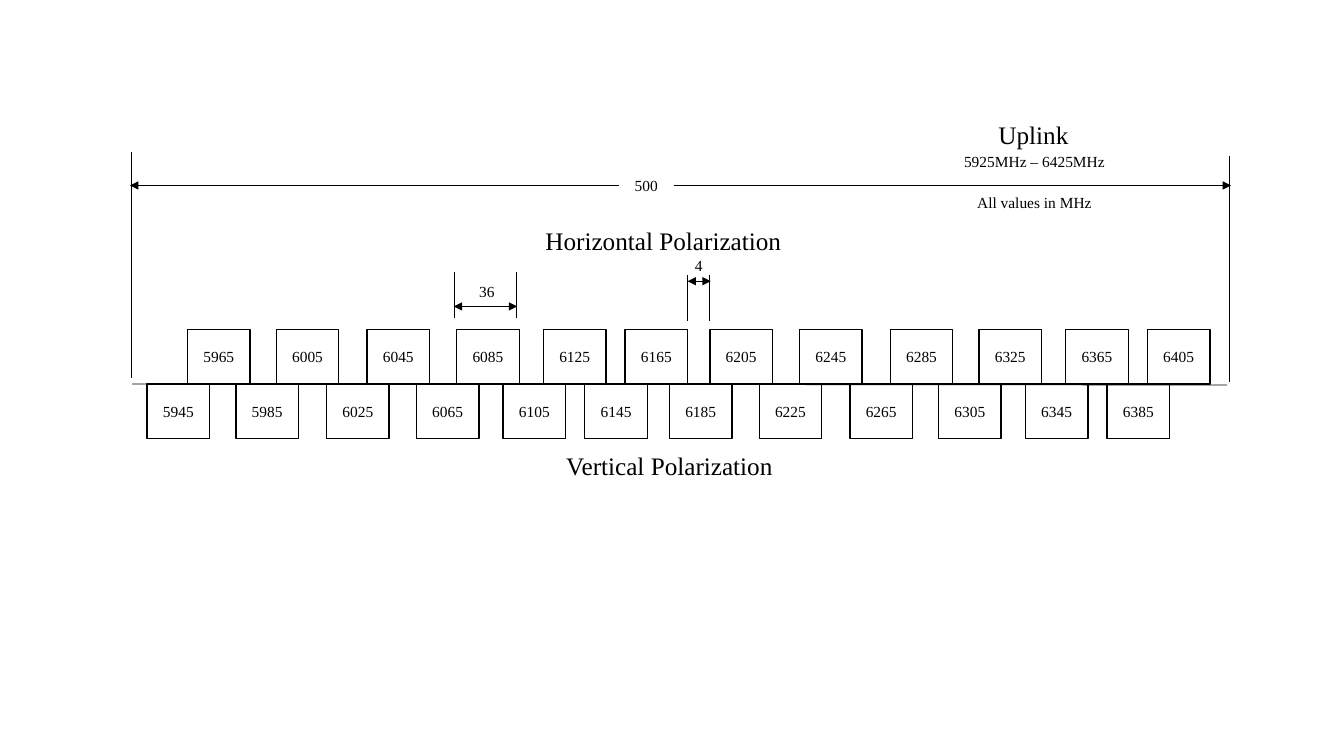
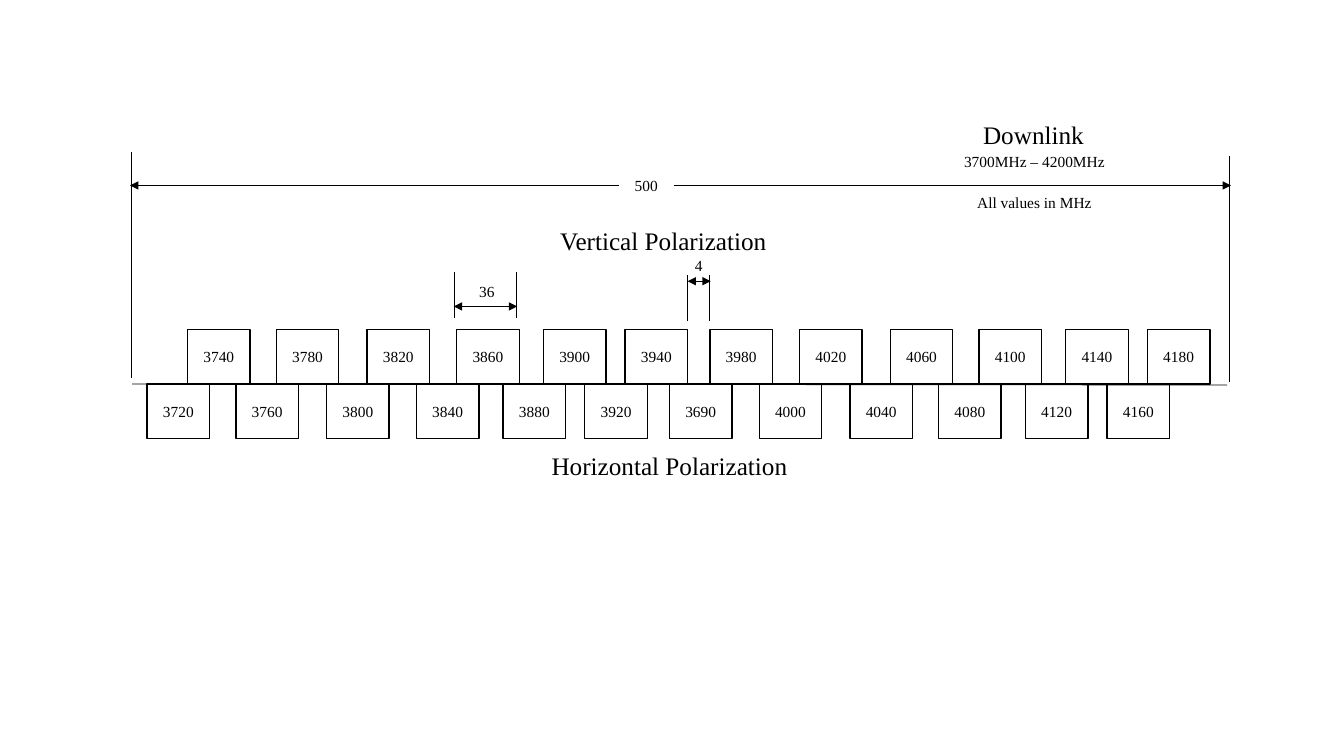
from lxml.etree import SubElement
from pptx import Presentation
from pptx.dml.color import RGBColor
from pptx.enum.shapes import MSO_CONNECTOR as CONNECTOR, MSO_SHAPE as SHAPE
from pptx.enum.text import MSO_ANCHOR as ANCHOR, MSO_AUTO_SIZE as AUTO_SIZE, PP_ALIGN as ALIGN
from pptx.oxml.ns import qn
from pptx.util import Pt

PX = 9144  # 100 px to the inch
COLORS = {"ink": "000000", "paper": "FFFFFF"}
INK = RGBColor.from_string(COLORS["ink"])
FONT = "Times New Roman"
SMALL, LARGE = 11, 18

BOX_WIDTH, BOX_HEIGHT = 62, 54
UPPER_TOP = 327
LOWER_TOP = UPPER_TOP + BOX_HEIGHT
UPPER_LEFTS = [186, 274, 364, 453, 539, 620, 704, 793, 883, 971, 1057, 1138]
LOWER_SHIFT = 40

BANDWIDTH, SPACING = 500, 40
BANDS = [
    {"title": "Uplink", "start": 5925, "relabelled": {},
     "upper": "Horizontal Polarization", "lower": "Vertical Polarization"},
    {"title": "Downlink", "start": 3700, "relabelled": {3960: 3690},
     "upper": "Vertical Polarization", "lower": "Horizontal Polarization"},
]

# x1, y1, x2, y2
PLAIN_LINES = [
    (130, 151, 130, 375), (1219, 155, 1219, 379),  # band edges
    (131, 381, 1217, 382),  # frequency axis
    (451, 270, 451, 315), (512, 270, 512, 315),  # channel width
    (682, 273, 682, 318), (704, 273, 704, 318),  # guard band
]
DOUBLE_ARROWS = [(450, 304, 513, 304), (682, 279, 705, 279)]


def write(shape, text, size, anchor=ANCHOR.TOP, auto_size=AUTO_SIZE.SHAPE_TO_FIT_TEXT):
    frame = shape.text_frame
    frame.text = text
    frame.word_wrap = True
    frame.auto_size = auto_size
    frame.vertical_anchor = anchor
    paragraph = frame.paragraphs[0]
    paragraph.alignment = ALIGN.CENTER
    font = paragraph.runs[0].font
    font.name, font.size = FONT, Pt(size)
    font.color.rgb = INK


def add_line(slide, ends, arrows=()):
    """Draw a thin line; arrows names the ends with heads: headEnd, tailEnd."""
    line = slide.shapes.add_connector(CONNECTOR.STRAIGHT, *(value * PX for value in ends))
    line.line.color.rgb = INK
    line.line.width = Pt(0.5)
    for end in arrows:
        SubElement(line.line._get_or_add_ln(), qn(f"a:{end}"), type="triangle")
    SubElement(line._element.spPr, qn("a:effectLst"))
    return line


presentation = Presentation()
presentation.slide_width, presentation.slide_height = 1333 * PX, 750 * PX
title_only = presentation.slide_layouts[5]
background = presentation.slide_master.background.fill
background.solid()
background.fore_color.rgb = RGBColor.from_string(COLORS["paper"])

for band in BANDS:
    slide = presentation.slides.add_slide(title_only)
    start = band["start"]

    title = slide.shapes.title
    title.left, title.top, title.width, title.height = (value * PX for value in (883, 113, 284, 40))
    write(title, band["title"], LARGE)

    for ends in PLAIN_LINES:
        add_line(slide, ends)
    for ends in DOUBLE_ARROWS:
        add_line(slide, ends, ("headEnd", "tailEnd"))

    # text, size, left, top, width, height
    labels = [
        (f"{start}MHz – {start + BANDWIDTH}MHz", SMALL, 884, 146, 284, 28),
        ("All values in MHz", SMALL, 884, 187, 284, 28),
        (band["upper"], LARGE, 516, 219, 284, 40),
        (band["lower"], LARGE, 522, 442, 284, 40),
        ("36", SMALL, 426, 275, 114, 28),
        ("4", SMALL, 636, 249, 114, 28),
        (str(BANDWIDTH), SMALL, 614, 170, 54, 28),
    ]
    for text, size, *place in labels:
        label = slide.shapes.add_textbox(*(value * PX for value in place))
        write(label, text, size)

    # The last label, the bandwidth, sits between the two halves of its arrow.
    for side, ends in [(1, (614, 184, 129, 184)), (3, (668, 184, 1221, 184))]:
        add_line(slide, ends, ("tailEnd",)).begin_connect(label, side)

    for top, shift, first in [(UPPER_TOP, 0, start + 40), (LOWER_TOP, LOWER_SHIFT, start + 20)]:
        for index, left in enumerate(UPPER_LEFTS):
            frequency = first + index * SPACING
            channel = slide.shapes.add_shape(
                SHAPE.RECTANGLE, (left - shift) * PX, top * PX, BOX_WIDTH * PX, BOX_HEIGHT * PX)
            channel.shadow.inherit = False
            channel.fill.background()
            channel.line.color.rgb = INK
            channel.line.width = Pt(1)
            write(channel, str(band["relabelled"].get(frequency, frequency)), SMALL,
                  ANCHOR.MIDDLE, AUTO_SIZE.NONE)

presentation.save("out.pptx")
